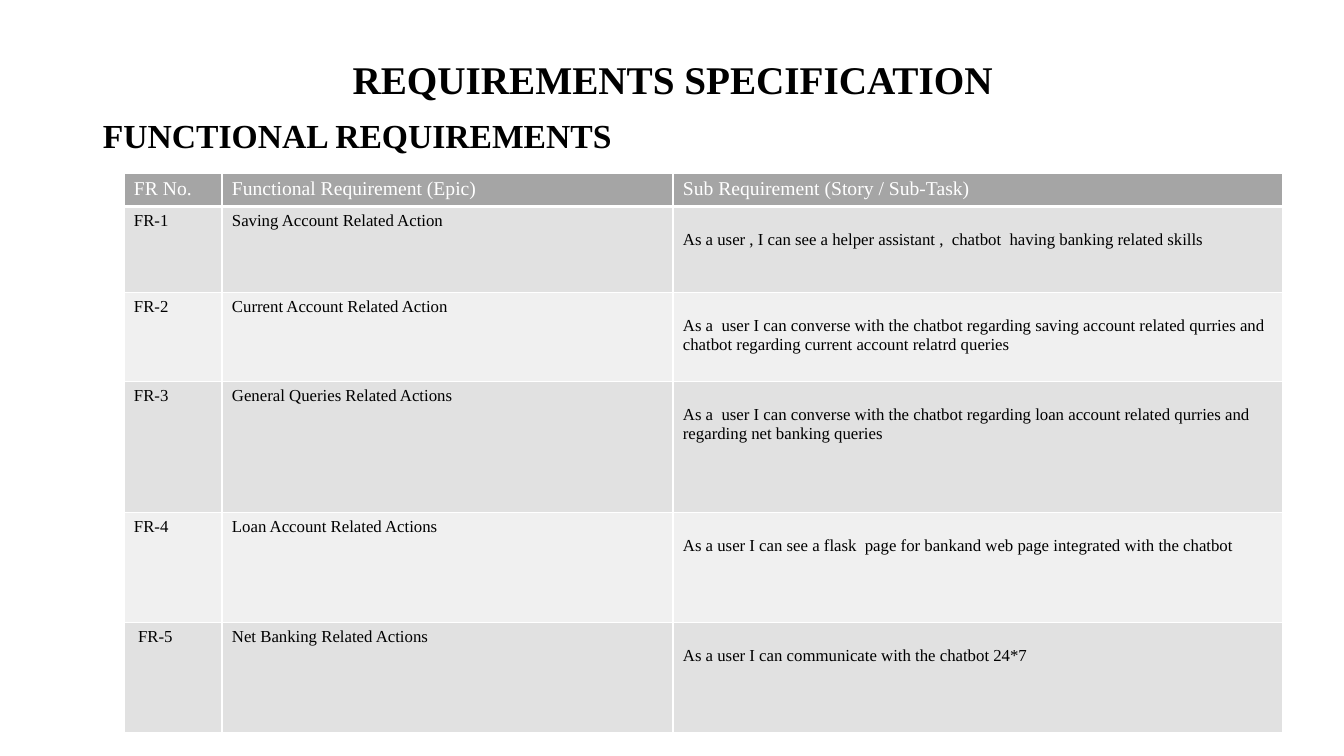
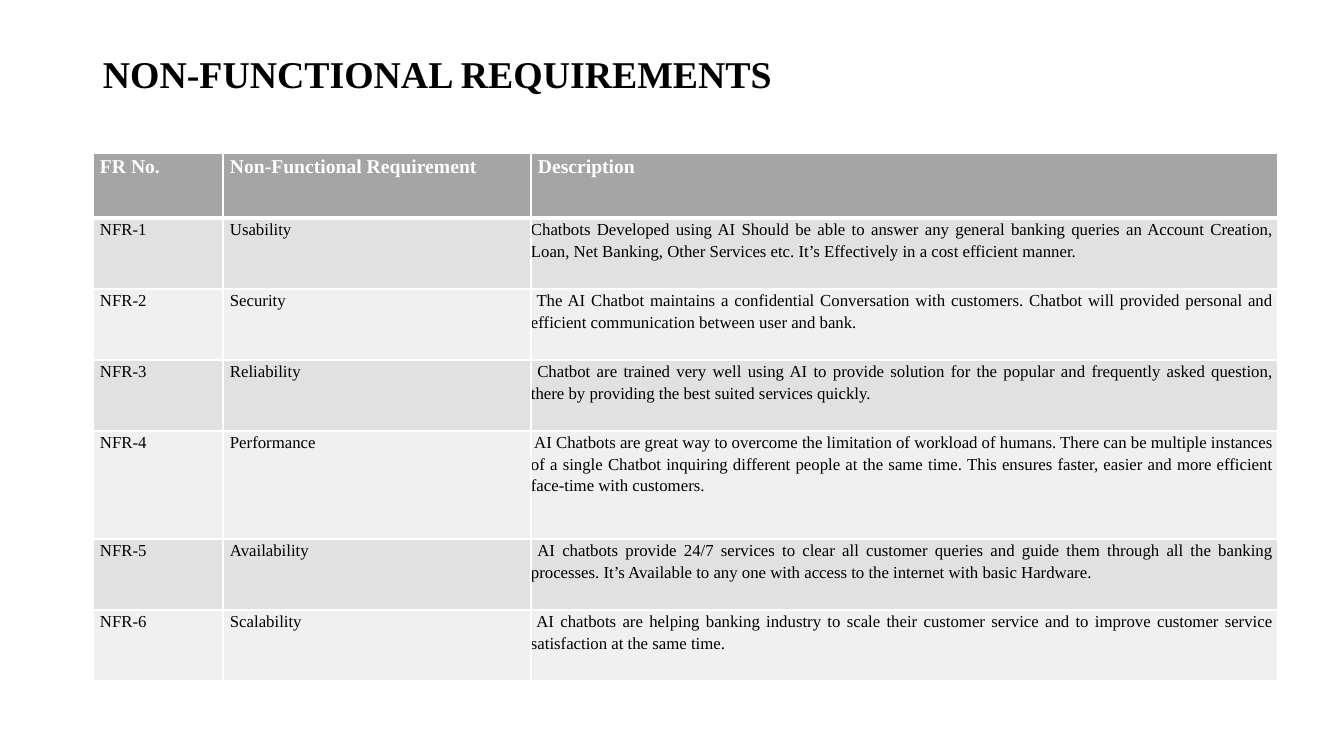
from lxml import etree
from pptx import Presentation
from pptx.dml.color import RGBColor
from pptx.enum.text import MSO_ANCHOR, PP_ALIGN
from pptx.oxml.ns import qn
from pptx.util import Pt

LEFT, CENTER, JUSTIFY = PP_ALIGN.LEFT, PP_ALIGN.CENTER, PP_ALIGN.JUSTIFY
TOP, MIDDLE = MSO_ANCHOR.TOP, MSO_ANCHOR.MIDDLE
EMU_PER_INCH = 914400
PX_PER_INCH = 100.8
SLIDE_WIDTH, SLIDE_HEIGHT = 1344, 756
MARGIN_LEFT, CONTENT_WIDTH = 93, 1159

FUNCTIONAL = [
    ("FR No.", "Functional Requirement (Epic)", "Sub Requirement (Story / Sub-Task)"),
    ("FR-1", "Saving Account Related Action",
     "As a user , I can see a helper assistant ,  chatbot  having banking related skills"),
    ("FR-2", "Current Account Related Action",
     "As a  user I can converse with the chatbot regarding saving account related qurries "
     "and chatbot regarding current account relatrd queries"),
    ("FR-3", "General Queries Related Actions",
     "As a  user I can converse with the chatbot regarding loan account related qurries "
     "and regarding net banking queries"),
    ("FR-4", "Loan Account Related Actions",
     "As a user I can see a flask  page for bankand web page integrated with the chatbot"),
    (" FR-5", "Net Banking Related Actions",
     "As a user I can communicate with the chatbot 24*7"),
]

NON_FUNCTIONAL = [
    ("FR No.", "Non-Functional Requirement", "Description"),
    ("NFR-1", "Usability",
     "Chatbots Developed using AI Should be able to answer any general banking queries an "
     "Account Creation, Loan, Net Banking, Other Services etc. It’s Effectively in a cost "
     "efficient manner."),
    ("NFR-2", "Security",
     " The AI Chatbot maintains a confidential Conversation with customers. Chatbot will "
     "provided personal and efficient communication between user and bank."),
    ("NFR-3", "Reliability",
     " Chatbot are trained very well using AI to provide solution for the popular and "
     "frequently asked question, there by providing the best suited services quickly."),
    ("NFR-4", "Performance",
     " AI Chatbots are great way to overcome the limitation of workload of humans. There can "
     "be multiple instances of a single Chatbot inquiring different people at the same time. "
     "This ensures faster, easier and more efficient face-time with customers."),
    ("NFR-5", "Availability",
     " AI chatbots provide 24/7 services to clear all customer queries and guide them through "
     "all the banking processes. It’s Available to any one with access to the internet with "
     "basic Hardware."),
    ("NFR-6", "Scalability",
     " AI chatbots are helping banking industry to scale their customer service and to improve "
     "customer service satisfaction at the same time."),
]


def px(length):
    return round(length * EMU_PER_INCH / PX_PER_INCH)


class Deck:
    font = "Times New Roman"
    colors = {"text": "000000", "header_text": "FFFFFF", "header": "A5A5A5",
              "odd": "E1E1E1", "even": "F0F0F0", "border": "FFFFFF"}

    def __init__(self):
        self.presentation = Presentation()
        self.presentation.slide_width = px(SLIDE_WIDTH)
        self.presentation.slide_height = px(SLIDE_HEIGHT)
        self.slide = None

    def new_slide(self):
        self.slide = self.presentation.slides.add_slide(self.presentation.slide_layouts[6])

    def set_text(self, frame, text, size, color="text", bold=False, align=LEFT, spacing=1.0):
        frame.text = text
        frame.word_wrap = True
        paragraph = frame.paragraphs[0]
        paragraph.alignment = align
        paragraph.line_spacing = spacing
        for run in paragraph.runs:
            run.font.name = self.font
            run.font.size = Pt(size)
            run.font.bold = bold
            run.font.color.rgb = RGBColor.from_string(self.colors[color])

    def heading(self, text, top, height, size, align=LEFT, anchor=MIDDLE, spacing=0.9):
        box = self.slide.shapes.add_textbox(px(MARGIN_LEFT), px(top),
                                            px(CONTENT_WIDTH), px(height))
        box.text_frame.vertical_anchor = anchor
        self.set_text(box.text_frame, text, size, bold=True, align=align, spacing=spacing)

    def borders(self, cell, row):
        widths = {"L": 1, "R": 1, "T": 3 if row == 1 else 1, "B": 3 if row == 0 else 1}
        properties = cell._tc.get_or_add_tcPr()
        for side, width in widths.items():
            line = etree.SubElement(properties, qn(f"a:ln{side}"), w=str(Pt(width)))
            fill = etree.SubElement(line, qn("a:solidFill"))
            etree.SubElement(fill, qn("a:srgbClr"), val=self.colors["border"])

    def table(self, rows, left, top, widths, heights, insets, detail_insets,
              header_bold=False, align=LEFT, spacing=1.0):
        table = self.slide.shapes.add_table(
            len(rows), len(widths), px(left), px(top),
            px(sum(widths)), px(sum(heights))).table
        for column, width in zip(table.columns, widths):
            column.width = px(width)
        for row, height in zip(table.rows, heights):
            row.height = px(height)
        for r, texts in enumerate(rows):
            is_header = r == 0
            band = "header" if is_header else "odd" if r % 2 else "even"
            for c, text in enumerate(texts):
                cell = table.cell(r, c)
                is_detail = c == len(widths) - 1 and not is_header
                (cell.margin_left, cell.margin_top, cell.margin_right,
                 cell.margin_bottom) = map(px, detail_insets if is_detail else insets)
                self.borders(cell, r)
                cell.fill.solid()
                cell.fill.fore_color.rgb = RGBColor.from_string(self.colors[band])
                self.set_text(cell.text_frame, text, 14 if is_header else 12,
                              "header_text" if is_header else "text",
                              bold=is_header and header_bold,
                              align=LEFT if is_header else align, spacing=spacing)


def functional_slide(deck):
    deck.new_slide()
    deck.heading("REQUIREMENTS SPECIFICATION", 37, 89, 28, align=CENTER)
    deck.heading("FUNCTIONAL REQUIREMENTS", 115, 48, 24, anchor=TOP)
    deck.table(FUNCTIONAL, 124, 173, [98, 451, 610], [31, 86, 89, 131, 110, 110],
               insets=(10, 5, 10, 5), detail_insets=(10, 24, 10, 5))


def non_functional_slide(deck):
    deck.new_slide()
    deck.heading("NON-FUNCTIONAL REQUIREMENTS", 40, 67, 27, spacing=1.0)
    deck.table(NON_FUNCTIONAL, 93, 153, [130, 308, 747], [65, 71, 71, 71, 108, 71, 71],
               insets=(7, 0, 4, 0), detail_insets=(0, 0, 4, 0),
               header_bold=True, align=JUSTIFY, spacing=1.15)


def main():
    deck = Deck()
    functional_slide(deck)
    non_functional_slide(deck)
    deck.presentation.save("out.pptx")


if __name__ == "__main__":
    main()
